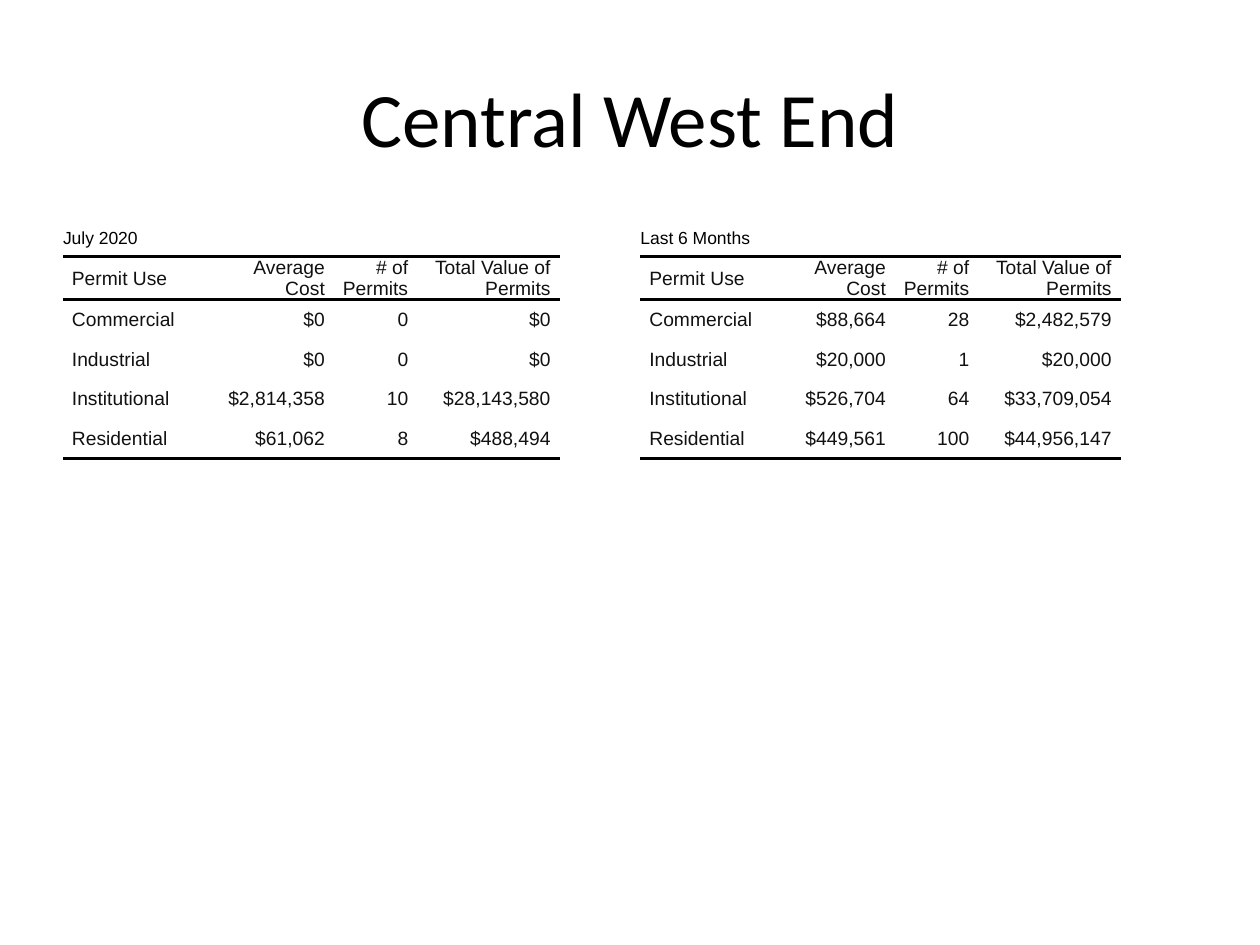
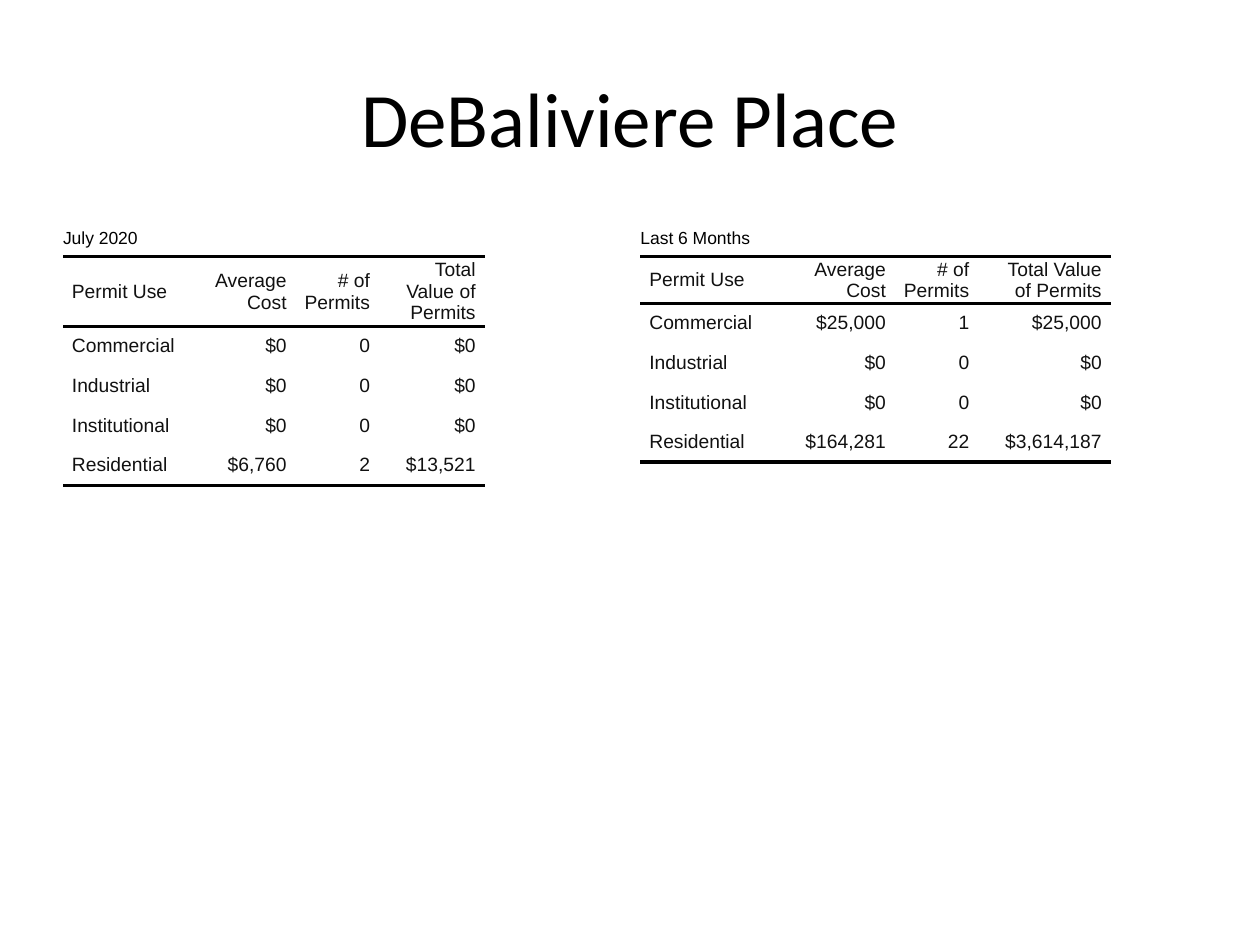
from lxml import etree
from pptx import Presentation
from pptx.dml.color import RGBColor
from pptx.enum.text import MSO_ANCHOR, PP_ALIGN
from pptx.oxml.ns import qn
from pptx.util import Cm, Pt

LEFT, CENTER, RIGHT = PP_ALIGN.LEFT, PP_ALIGN.CENTER, PP_ALIGN.RIGHT
MIDDLE = MSO_ANCHOR.MIDDLE
BLACK = RGBColor(0x00, 0x00, 0x00)
INK = RGBColor(0x11, 0x11, 0x11)
TITLE_FONT, TABLE_FONT = "Calibri", "Arial"
PLAIN_TABLE_STYLE = "{2D5ABB26-0587-4C30-8999-92F81FD0307C}"
BLANK_LAYOUT = 6

MARGIN = Cm(1.27)
PANEL_TOP, PANEL_WIDTH, PANEL_HEIGHT = Cm(4.45), Cm(11.22), Cm(12.57)
HEADING_ROW, BODY_ROW = Cm(0.73), Cm(0.8)
CELL_INDENT = Cm(0.18)
RULE_WIDTH = Pt(2)

HEADER = ("Permit Use", "Average Cost", "# of Permits", "Total Value of Permits")
USES = ("Commercial", "Industrial", "Institutional", "Residential")
PERIODS = ("July 2020", "Last 6 Months")

# Per neighborhood and period: column widths in cm, then one row per permit use
NEIGHBORHOODS = {
    "Central West End": (
        ((2.79, 2.67, 1.68, 2.87), (
            ("$0", "0", "$0"),
            ("$0", "0", "$0"),
            ("$2,814,358", "10", "$28,143,580"),
            ("$61,062", "8", "$488,494"))),
        ((2.79, 2.34, 1.68, 2.87), (
            ("$88,664", "28", "$2,482,579"),
            ("$20,000", "1", "$20,000"),
            ("$526,704", "64", "$33,709,054"),
            ("$449,561", "100", "$44,956,147"))),
    ),
    "DeBaliviere Place": (
        ((2.79, 1.9, 1.68, 2.13), (
            ("$0", "0", "$0"),
            ("$0", "0", "$0"),
            ("$0", "0", "$0"),
            ("$6,760", "2", "$13,521"))),
        ((2.79, 2.34, 1.68, 2.67), (
            ("$25,000", "1", "$25,000"),
            ("$0", "0", "$0"),
            ("$0", "0", "$0"),
            ("$164,281", "22", "$3,614,187"))),
    ),
}


class PermitDeck:
    def __init__(self):
        self.prs = Presentation()
        self.prs.slide_width, self.prs.slide_height = Cm(25.4), Cm(19.05)
        self.slide = None

    def add_slide(self):
        self.slide = self.prs.slides.add_slide(self.prs.slide_layouts[BLANK_LAYOUT])

    def set_text(self, paragraph, text, font, size, color, align):
        paragraph.text = text
        paragraph.alignment = align
        paragraph.font.name = font
        paragraph.font.size = Pt(size)
        paragraph.font.color.rgb = color

    def add_title(self, text):
        width = self.prs.slide_width - 2 * MARGIN
        frame = self.slide.shapes.add_textbox(MARGIN, Cm(0.76), width, Cm(3.18)).text_frame
        frame.word_wrap = True
        frame.vertical_anchor = MIDDLE
        self.set_text(frame.paragraphs[0], text, TITLE_FONT, 44, BLACK, CENTER)

    def rule(self, cell, edge):
        """Draw a black border; edge is lnT (top) or lnB (bottom)."""
        line = etree.SubElement(cell._tc.get_or_add_tcPr(), qn(f"a:{edge}"), w=str(RULE_WIDTH))
        fill = etree.SubElement(line, qn("a:solidFill"))
        etree.SubElement(fill, qn("a:srgbClr"), val=str(BLACK))

    def fill_cell(self, cell, text, size, color, align, edges=()):
        cell.margin_left = cell.margin_right = cell.margin_top = cell.margin_bottom = 0
        cell.vertical_anchor = MIDDLE
        for edge in edges:
            self.rule(cell, edge)
        cell.fill.background()
        self.set_text(cell.text_frame.paragraphs[0], text, TABLE_FONT, size, color, align)

    def indent(self, cell):
        paragraph = cell.text_frame.paragraphs[0]
        paragraph.space_after = Pt(2)
        properties = paragraph._p.get_or_add_pPr()
        for side in ("marL", "marR"):
            properties.set(side, str(CELL_INDENT))
        properties.set("indent", "0")

    def add_permit_table(self, left, period, widths, values):
        rows = [HEADER] + [(use, *row) for use, row in zip(USES, values)]
        panel = self.slide.shapes.add_table(
            len(rows) + 1, len(HEADER), left, PANEL_TOP, PANEL_WIDTH, PANEL_HEIGHT)
        table = panel.table
        table.first_row = table.horz_banding = False
        table._tbl.tblPr.find(qn("a:tableStyleId")).text = PLAIN_TABLE_STYLE
        for column, width in zip(table.columns, widths):
            column.width = Cm(width)
        for number, row in enumerate(table.rows):
            row.height = HEADING_ROW if number < 2 else BODY_ROW
        panel.width, panel.height = PANEL_WIDTH, PANEL_HEIGHT

        for column in range(len(HEADER)):
            self.fill_cell(table.cell(0, column), "" if column else period, 10, BLACK, LEFT)
        table.cell(0, 0).merge(table.cell(0, len(HEADER) - 1))

        row_edges = {1: ("lnT", "lnB"), len(rows): ("lnB",)}
        for number, row in enumerate(rows, start=1):
            for column, text in enumerate(row):
                cell = table.cell(number, column)
                self.fill_cell(cell, text, 11, INK, RIGHT if column else LEFT,
                               row_edges.get(number, ()))
                self.indent(cell)


def main():
    deck = PermitDeck()
    lefts = (MARGIN, deck.prs.slide_width - MARGIN - PANEL_WIDTH)
    for neighborhood, tables in NEIGHBORHOODS.items():
        deck.add_slide()
        for left, period, (widths, values) in zip(lefts, PERIODS, tables):
            deck.add_permit_table(left, period, widths, values)
        deck.add_title(neighborhood)
    deck.prs.save("out.pptx")


if __name__ == "__main__":
    main()
